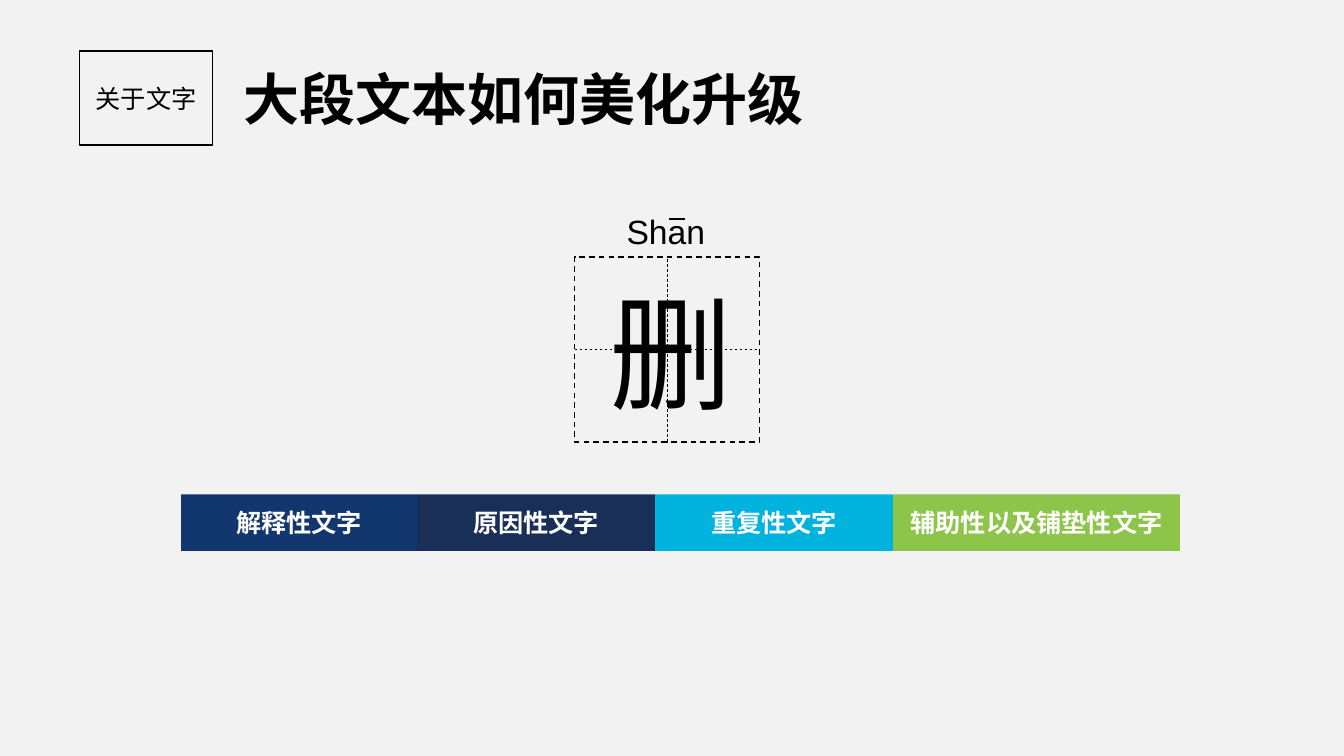
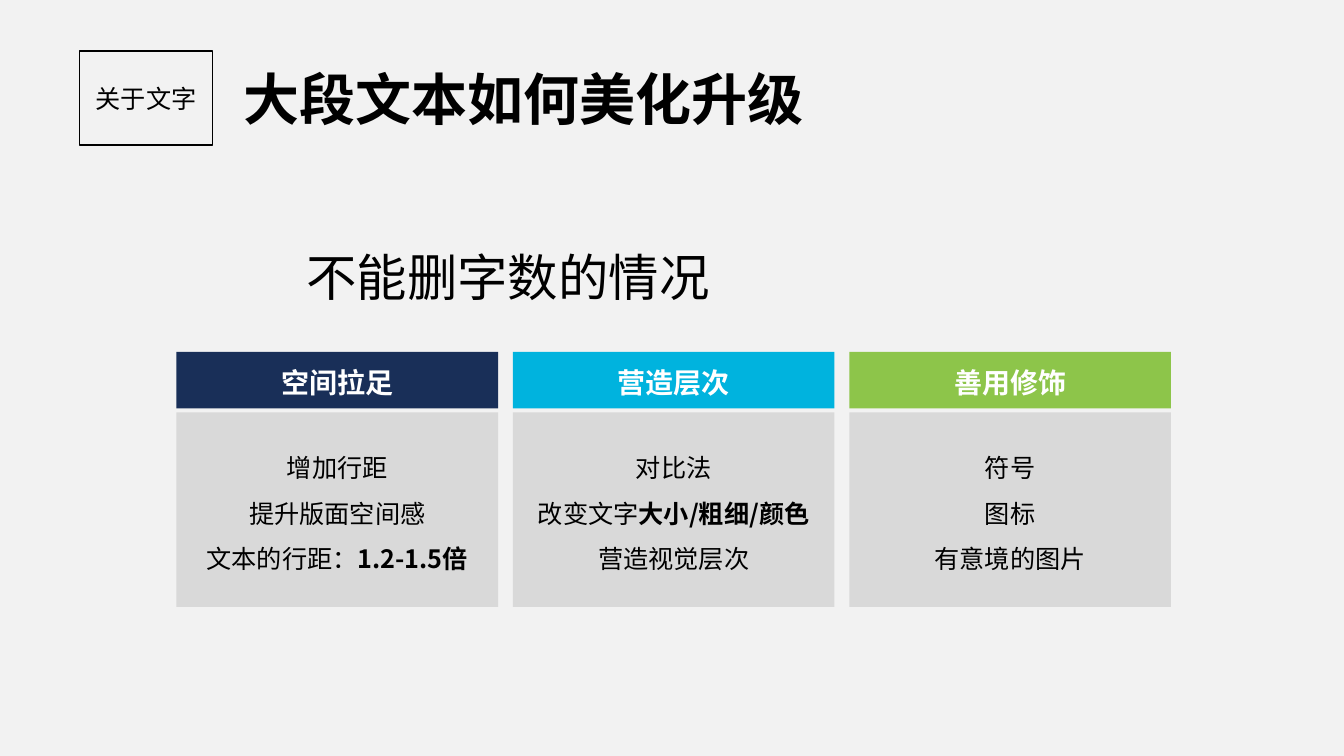
"""Builds two slides on tightening and styling long passages of text."""
from pptx import Presentation
from pptx.dml.color import RGBColor
from pptx.enum import dml, shapes, text
from pptx.oxml.ns import qn
from pptx.util import Pt
from lxml import etree

HAN, LATIN = "Noto Sans CJK SC", "Arial"
BLACK, WHITE, PAPER, GREY = "000000", "FFFFFF", "F2F2F2", "D9D9D9"
BLUE, NAVY, CYAN, GREEN = "12376E", "192F58", "00B3DE", "8DC54A"
LEFT, MID, JUST = text.PP_ALIGN.LEFT, text.PP_ALIGN.CENTER, text.PP_ALIGN.JUSTIFY
TOP, CENTRE = text.MSO_ANCHOR.TOP, text.MSO_ANCHOR.MIDDLE

TAG, TITLE = "关于文字", "大段文本如何美化升级"
STRIPS = [
    ("解释性文字", BLUE, 168.5),
    ("原因性文字", NAVY, 170),
    ("重复性文字", CYAN, 170),
    ("辅助性以及铺垫性文字", GREEN, 205),
]
LEAD = "不能删字数的情况"
CARDS = [
    ("空间拉足", NAVY, [["增加行距"], ["提升版面空间感"], ["文本的行距：", "1.2-1.5倍"]]),
    ("营造层次", CYAN, [["对比法"], ["改变文字", "大小/粗细/颜色"], ["营造视觉层次"]]),
    ("善用修饰", GREEN, [["符号"], ["图标"], ["有意境的图片"]]),
]


def rgb(code):
    return RGBColor.from_string(code)


def style(run, size, color, bold=False, face=HAN):
    font = run.font
    font.size, font.bold = Pt(size), bold
    font.color.rgb = rgb(color)
    font.name = face
    etree.SubElement(run._r.get_or_add_rPr(), qn("a:ea"), typeface=face)


def fit(shape, align=MID, anchor=CENTRE, wrap=True, pad=(7.2, 3.6)):
    frame = shape.text_frame
    frame.word_wrap, frame.vertical_anchor = wrap, anchor
    frame.margin_left = frame.margin_right = Pt(pad[0])
    frame.margin_top, frame.margin_bottom = Pt(pad[1]), Pt(3.6)
    frame.paragraphs[0].alignment = align
    return frame


def write(shape, words, size, color=BLACK, bold=False, face=HAN, **opts):
    para = fit(shape, **opts).paragraphs[0]
    para.text = words
    style(para.runs[0], size, color, bold, face)
    return para


def label(slide, box, words, size, **opts):
    return write(slide.shapes.add_textbox(*map(Pt, box)), words, size, **opts)


def block(slide, box, fill=None, line=None):
    shape = slide.shapes.add_shape(shapes.MSO_SHAPE.RECTANGLE, *map(Pt, box))
    shape.shadow.inherit = False
    if fill:
        shape.fill.solid()
        shape.fill.fore_color.rgb = rgb(fill)
    else:
        shape.fill.background()
    if line:
        shape.line.color.rgb = rgb(BLACK)
        shape.line.width = Pt(line)
    else:
        shape.line.fill.background()
    return shape


def rule(slide, ends, width):
    line = slide.shapes.add_connector(shapes.MSO_CONNECTOR.STRAIGHT, *map(Pt, ends))
    line.line.color.rgb = rgb(BLACK)
    line.line.width = Pt(width)
    etree.SubElement(line._element.spPr, qn("a:effectLst"))
    return line


def start(deck):
    slide = deck.slides.add_slide(deck.slide_layouts[6])
    label(slide, (167, 42.5, 418, 55.4), TITLE, 40, bold=True, align=LEFT, wrap=False)
    write(block(slide, (56.9, 36.5, 95, 67), line=1), TAG, 18, wrap=False)
    return slide


def cut(deck):
    slide = start(deck)
    label(slide, (428.4, 193.7, 104, 113.8), "删", 88, align=LEFT, wrap=False)
    label(slide, (424.8, 147, 101.5, 36), "Shan", 24, face=LATIN)
    rule(slide, (478, 156.2, 489.6, 156.2), 1.5)
    left, top, side = 410.4, 183.6, 132
    grid = block(slide, (left, top, side, side), line=1)
    grid.line.dash_style = dml.MSO_LINE.DASH
    for head, tail in ((1, 3), (2, 0)):
        axis = rule(slide, (left, top, left + side, top + side), 0.5)
        axis.begin_connect(grid, head)
        axis.end_connect(grid, tail)
        axis.line.dash_style = dml.MSO_LINE.DASH
    left = 129.4
    for words, fill, width in STRIPS:
        strip = block(slide, (left, 353.2, width, 40.4), fill)
        write(strip, words, 18, WHITE, bold=True, wrap=False)
        left += width


def keep(deck):
    slide = start(deck)
    lead = label(slide, (211.7, 162, 536.4, 77), LEAD, 36, align=JUST)
    lead.line_spacing = 0.9
    width, gap = 229.8, 10.5
    for i, (name, fill, lines) in enumerate(CARDS):
        left = 126 + i * (width + gap)
        head = block(slide, (left, 251.3, width, 40.4), fill)
        write(head, name, 20, WHITE, bold=True, wrap=False, pad=(7.2, 6.6))
        body = block(slide, (left, 294.6, width, 139), GREY)
        frame = fit(body, anchor=TOP, pad=(0, 18))
        for j, parts in enumerate(lines):
            para = frame.add_paragraph() if j else frame.paragraphs[0]
            para.alignment, para.line_spacing = MID, 1.5
            for k, words in enumerate(parts):
                run = para.add_run()
                run.text = words
                style(run, 18, BLACK, bold=k > 0)


def main():
    deck = Presentation()
    deck.slide_width, deck.slide_height = Pt(960), Pt(540)
    back = deck.slide_master.background.fill
    back.solid()
    back.fore_color.rgb = rgb(PAPER)
    cut(deck)
    keep(deck)
    deck.save("out.pptx")


if __name__ == "__main__":
    main()
